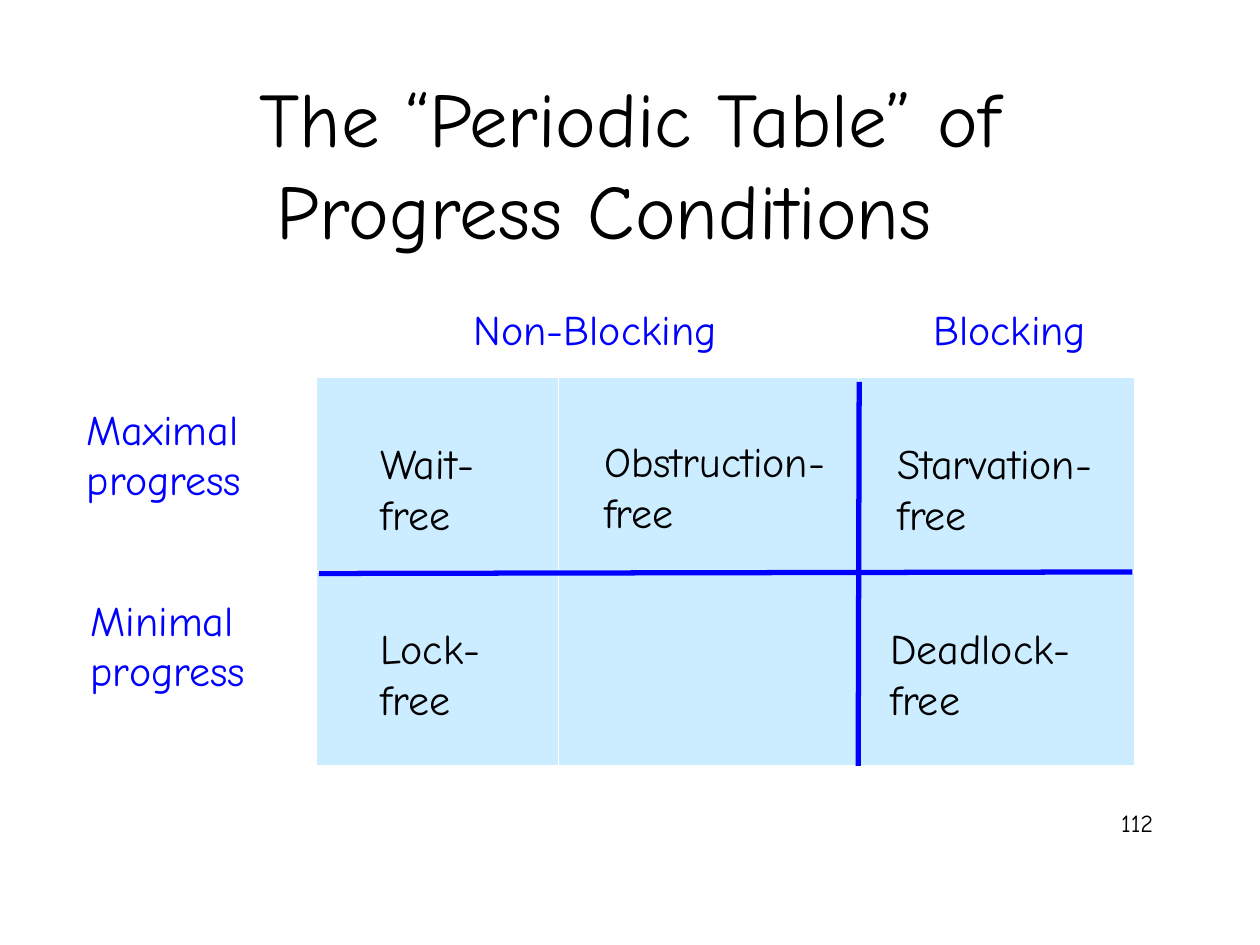
from dataclasses import dataclass

from lxml import etree
from pptx import Presentation
from pptx.dml.color import RGBColor
from pptx.enum import shapes, text
from pptx.oxml import ns
from pptx.util import Cm, Pt


@dataclass(frozen=True)
class Theme:
    font: str = "Comic Neue"
    ink: str = "000000"
    blue: str = "0000FF"
    pale: str = "CCECFF"
    white: str = "FFFFFF"
    head: int = 44
    body: int = 24
    note: int = 14
    rule: float = 3
    thin: float = 0.45
    thick: float = 1.47


THEME = Theme()

# Labels: left, top, width, height in cm, then the lines of text.
# Each width leaves a little room so that no line breaks inside a word.
HEADS = [
    (9.3, 5.99, 5.5, 1.27, ["Non-Blocking"]),
    (18.56, 5.99, 3.7, 1.27, ["Blocking"]),
    (1.5, 8.0, 3.75, 2.29, ["Maximal", "progress"]),
    (1.58, 11.85, 3.75, 2.29, ["Minimal", "progress"]),
]
ITEMS = [
    (7.42, 8.7, 2.55, 2.29, ["Wait-", "free"]),
    (11.93, 8.66, 5.07, 2.29, ["Obstruction-", "free"]),
    (17.84, 8.7, 4.55, 2.29, ["Starvation-", "free"]),
    (7.42, 12.43, 2.65, 2.29, ["Lock-", "free"]),
    (17.7, 12.43, 4.25, 2.29, ["Deadlock-", "free"]),
]
# Dividers: start x, y and end x, y in cm
RULES = [(17.32, 7.7, 17.3, 15.44), (6.43, 11.56, 22.83, 11.53)]


def add_run(para, words, size, color):
    run = para.add_run()
    run.text = words
    run.font.name = THEME.font
    run.font.size = Pt(size)
    run.font.color.rgb = RGBColor.from_string(color)


def add_title(slide, words):
    title = slide.shapes.title
    title.left, title.top = Cm(1.9), Cm(1.69)
    title.width, title.height = Cm(21.6), Cm(3.18)
    frame = title.text_frame
    frame.auto_size = text.MSO_AUTO_SIZE.NONE
    frame.vertical_anchor = text.MSO_ANCHOR.MIDDLE
    para = frame.paragraphs[0]
    para.alignment = text.PP_ALIGN.CENTER
    add_run(para, words, THEME.head, THEME.ink)


def add_label(slide, left, top, width, height, lines, color):
    box = slide.shapes.add_textbox(Cm(left), Cm(top), Cm(width), Cm(height))
    frame = box.text_frame
    frame.word_wrap = False
    frame.auto_size = text.MSO_AUTO_SIZE.SHAPE_TO_FIT_TEXT
    for i, line in enumerate(lines):
        para = frame.add_paragraph() if i else frame.paragraphs[0]
        add_run(para, line, THEME.body, color)


def add_number(slide, number):
    box = slide.shapes.add_textbox(Cm(18.2), Cm(16.16), Cm(5.3), Cm(1.27))
    box.text_frame.word_wrap = True
    para = box.text_frame.paragraphs[0]
    para.alignment = text.PP_ALIGN.RIGHT
    add_run(para, number, THEME.note, THEME.ink)


def add_edge(cell, side, width):
    props = cell._tc.get_or_add_tcPr()
    line = etree.SubElement(props, ns.qn(f"a:ln{side}"), w=str(Pt(width)))
    fill = etree.SubElement(line, ns.qn("a:solidFill"))
    etree.SubElement(fill, ns.qn("a:srgbClr"), val=THEME.white)


def add_grid(slide):
    cols, rows = [4.88, 6.04, 5.56], [3.91, 3.91]
    table = slide.shapes.add_table(
        len(rows), len(cols), Cm(6.38), Cm(7.61), Cm(sum(cols)), Cm(sum(rows))
    ).table
    table.first_row = table.horz_banding = False
    for col, width in zip(table.columns, cols):
        col.width = Cm(width)
    for i, (row, height) in enumerate(zip(table.rows, rows)):
        row.height = Cm(height)
        inner = "T" if i else "B"
        for cell in row.cells:
            for side in "LRTB":
                add_edge(cell, side, THEME.thick if side == inner else THEME.thin)
            cell.fill.solid()
            cell.fill.fore_color.rgb = RGBColor.from_string(THEME.pale)


def add_rule(slide, *ends):
    line = slide.shapes.add_connector(
        shapes.MSO_CONNECTOR.STRAIGHT, *(Cm(end) for end in ends)
    )
    line.line.color.rgb = RGBColor.from_string(THEME.blue)
    line.line.width = Pt(THEME.rule)
    etree.SubElement(line._element.spPr, ns.qn("a:effectLst"))


def main():
    deck = Presentation()
    deck.slide_width, deck.slide_height = Cm(25.4), Cm(19.05)
    slide = deck.slides.add_slide(deck.slide_layouts[5])

    # Title and page number; the closing spaces shift the second line left
    add_title(slide, "The “Periodic Table” of Progress Conditions  ")
    add_number(slide, "112")

    # Grid with its headings, entries and dividers
    for head in HEADS:
        add_label(slide, *head, THEME.blue)
    add_grid(slide)
    for item in ITEMS:
        add_label(slide, *item, THEME.ink)
    for ends in RULES:
        add_rule(slide, *ends)

    deck.save("out.pptx")


if __name__ == "__main__":
    main()
